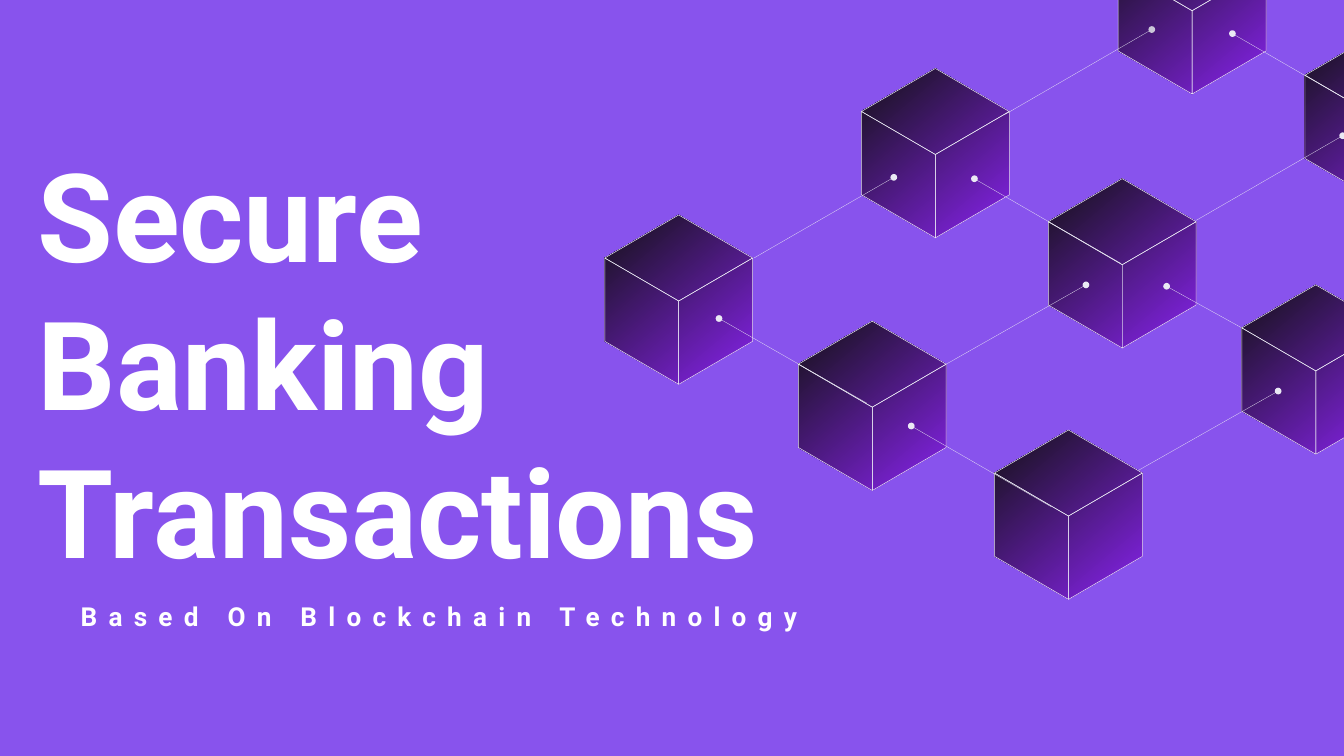
"""Build the title slide on secure banking transactions."""
from dataclasses import dataclass

from lxml import etree
from pptx import Presentation
from pptx.dml.color import RGBColor
from pptx.enum.shapes import MSO_CONNECTOR, MSO_SHAPE
from pptx.enum.text import MSO_ANCHOR
from pptx.oxml.ns import qn
from pptx.util import Inches, Pt

STRAIGHT = MSO_CONNECTOR.STRAIGHT
OVAL = MSO_SHAPE.OVAL
TOP, BOTTOM = MSO_ANCHOR.TOP, MSO_ANCHOR.BOTTOM


@dataclass(frozen=True)
class Theme:
    background: RGBColor = RGBColor(0x88, 0x53, 0xED)
    cube_light: RGBColor = RGBColor(0x88, 0x23, 0xED)
    cube_dark: RGBColor = RGBColor(0x13, 0x11, 0x15)
    line: RGBColor = RGBColor(0xEA, 0xE9, 0xF4)
    dim_dot: RGBColor = RGBColor(0xCA, 0xC7, 0xD8)
    text: RGBColor = RGBColor(0xFF, 0xFF, 0xFF)
    font: str = "Roboto"
    title_size: Pt = Pt(66)
    subtitle_size: Pt = Pt(14)
    edge_width: Pt = Pt(0.25)
    link_width: Pt = Pt(0.13)


THEME = Theme()
SLIDE_W = 10
SLIDE_H = SLIDE_W * 9 / 16
HALF, RISE, LOWER, HEIGHT = 0.55, 0.32, 0.94, 1.26
DOT = 0.05

APEXES = [(5.05, 1.6), (6.49, 2.39), (7.95, 3.2), (8.35, 1.33),
          (6.96, 0.51), (9.79, 2.12), (10.26, 0.24), (8.87, -0.56)]

LINKS = [((9.51, 2.91), (8.47, 3.5)), ((9.99, 1.01), (8.9, 1.64)),
         ((8.08, 2.12), (7.04, 2.71)), ((5.35, 2.37), (6.45, 3)),
         ((6.78, 3.17), (7.82, 3.77)), ((7.25, 1.33), (8.34, 1.96)),
         ((8.68, 2.13), (9.24, 2.44)), ((9.17, 0.25), (10.26, 0.88)),
         ((8.57, 0.22), (7.48, 0.85)), ((6.65, 1.32), (5.61, 1.92))]
DIM_LINK = (8.57, 0.22)


def add_polygon(s, points):
    """Add a closed outline through points given in inches."""
    start, *rest = [(Inches(x), Inches(y)) for x, y in points]
    builder = s.shapes.build_freeform(*start)
    builder.add_line_segments(rest, close=True)
    sp = builder.convert_to_shape()
    sp.shadow.inherit = False
    return sp


def add_body(s, points):
    """Add the shaded hexagon of a cube."""
    sp = add_polygon(s, points)
    sp.fill.gradient()
    sp.fill.gradient_angle = 130
    stops = [(0, THEME.cube_light), (1, THEME.cube_dark)]
    for stop, (position, color) in zip(sp.fill.gradient_stops, stops):
        stop.position = position
        stop.color.rgb = color
    sp.line.fill.background()


def add_face(s, points):
    """Add the thin outline of one cube face."""
    sp = add_polygon(s, points)
    sp.fill.background()
    sp.line.color.rgb = THEME.line
    sp.line.width = THEME.edge_width


def add_cube(s, x, y):
    """Add a cube whose highest corner is at x, y."""
    left, right = x - HALF, x + HALF
    top, center, bottom = (x, y), (x, y + 2 * RISE), (x, y + HEIGHT)
    upper_left, upper_right = (left, y + RISE), (right, y + RISE)
    lower_left, lower_right = (left, y + LOWER), (right, y + LOWER)
    add_body(s, [top, upper_left, lower_left, bottom, lower_right, upper_right])
    add_face(s, [bottom, lower_left, upper_left, center])
    if x < SLIDE_W:
        add_face(s, [bottom, lower_right, upper_right, center])
    add_face(s, [upper_right, center, upper_left, top])


def add_link(s, start, end):
    """Add a line from a dot on one cube to another cube."""
    cxn = s.shapes.add_connector(STRAIGHT, *map(Inches, start + end))
    cxn.line.color.rgb = THEME.line
    cxn.line.width = THEME.link_width
    etree.SubElement(cxn._element.spPr, qn("a:effectLst"))
    x, y = start
    sp = s.shapes.add_shape(OVAL, Inches(x - DOT / 2), Inches(y - DOT / 2),
                            Inches(DOT), Inches(DOT))
    sp.shadow.inherit = False
    sp.fill.solid()
    sp.fill.fore_color.rgb = THEME.dim_dot if start == DIM_LINK else THEME.line
    sp.line.fill.background()


def add_text(s, text, box, size, anchor, spacing=0):
    """Add a bold text box; spacing is in points between letters."""
    tf = s.shapes.add_textbox(*map(Inches, box)).text_frame
    frame_format = {"word_wrap": True, "vertical_anchor": anchor,
                    "margin_left": 0, "margin_right": 0,
                    "margin_top": 0, "margin_bottom": 0}
    for name, value in frame_format.items():
        setattr(tf, name, value)
    r = tf.paragraphs[0].add_run()
    r.text = text
    for name, value in {"name": THEME.font, "size": size, "bold": True}.items():
        setattr(r.font, name, value)
    r.font.color.rgb = THEME.text
    if spacing:
        r._r.get_or_add_rPr().set("spc", str(spacing * 100))


def main():
    """Build and save the slide."""
    prs = Presentation()
    prs.slide_width, prs.slide_height = Inches(SLIDE_W), Inches(SLIDE_H)
    s = prs.slides.add_slide(prs.slide_layouts[6])
    s.background.fill.solid()
    s.background.fill.fore_color.rgb = THEME.background
    for x, y in APEXES:
        add_cube(s, x, y)
    for start, end in LINKS:
        add_link(s, start, end)
    add_text(s, "Secure Banking Transactions", (0.28, 0.83, 6.38, 3.51),
             THEME.title_size, BOTTOM)
    add_text(s, "Based On Blockchain Technology", (0.6, 4.47, 5.79, 0.28),
             THEME.subtitle_size, TOP, spacing=6)
    prs.save("out.pptx")


if __name__ == "__main__":
    main()
